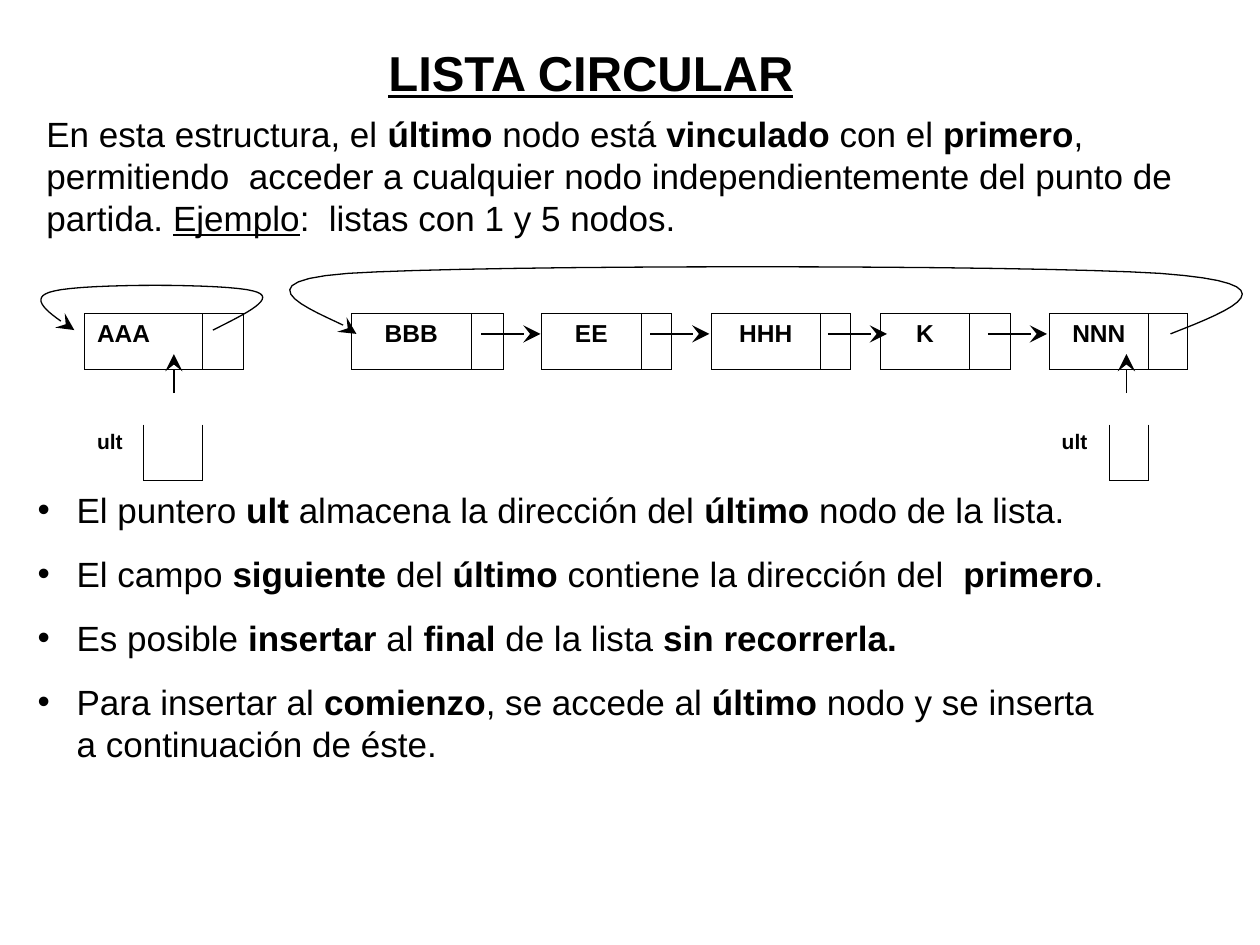
from lxml import etree
from pptx import Presentation
from pptx.dml.color import RGBColor as RGB
from pptx.enum.shapes import MSO_CONNECTOR as LINK
from pptx.enum.text import MSO_ANCHOR as ANCHOR, PP_ALIGN as ALIGN
from pptx.oxml.ns import qn
from pptx.util import Inches, Pt

HUES = {"ink": "000000"}
INK = RGB.from_string(HUES["ink"])
FONT = "Arial"


def write(par, text, size):
    """Fill a paragraph; *word* is bold and *_word* is underlined."""
    for i, part in enumerate(text.split("*")):
        if not part:
            continue
        run = par.add_run()
        run.text = part.lstrip("_")
        font = run.font
        font.name, font.size = FONT, Pt(size)
        font.color.rgb = INK
        font.bold = i % 2 == 1 and part[0] != "_"
        font.underline = part[0] == "_"


def arrow(shape):
    """Style a thin line with a stealth head at its end."""
    shape.line.color.rgb = INK
    shape.line.width = Pt(0.75)
    props = shape._element.spPr
    etree.SubElement(props.find(qn("a:ln")), qn("a:tailEnd"),
                     type="stealth", w="lg", len="lg")
    if props.find(qn("a:effectLst")) is None:
        etree.SubElement(props, qn("a:effectLst"))


prs = Presentation()
prs.slide_width, prs.slide_height = Inches(10), Inches(7.5)
slide = prs.slides.add_slide(prs.slide_layouts[5])
shapes = slide.shapes

# Title
title = shapes.title
title.left, title.top = Inches(2.8), Inches(0.28)
title.width, title.height = Inches(3.78), Inches(0.57)
frame = title.text_frame
frame.vertical_anchor = ANCHOR.TOP
par = frame.paragraphs[0]
par.alignment = ALIGN.CENTER
par.line_spacing = Pt(34)
write(par, "*LISTA CIRCULAR*", 28)
par.runs[0].font.underline = True

# Introduction
box = shapes.add_textbox(Inches(0.27), Inches(0.84), Inches(9.53), Inches(1.1))
box.text_frame.word_wrap = True
par = box.text_frame.paragraphs[0]
par.line_spacing = Pt(24)
write(par, "En esta estructura, el *último* nodo está *vinculado* con el *primero*, "
      "permitiendo  acceder a cualquier nodo independientemente del punto de "
      "partida. *_Ejemplo*:  listas con 1 y 5 nodos.", 20)

# Nodes and pointers
cols = [0.47, 0.47, 0.32, 0.47, 0.39, 0.95, 0.26, 0.3, 0.79, 0.24,
        0.32, 0.86, 0.24, 0.24, 0.71, 0.32, 0.31, 0.48, 0.31, 0.31]
high = 0.44
grid = shapes.add_table(3, len(cols), Inches(0.67), Inches(2.49),
                        Inches(sum(cols)), Inches(3 * high)).table
grid.first_row = grid.horz_banding = False
NO_STYLE = "{2D5ABB26-0587-4C30-8999-92F81FD0307C}"
grid._tbl.tblPr.find(qn("a:tableStyleId")).text = NO_STYLE
for col, wide in zip(grid.columns, cols):
    col.width = Inches(wide)
for row in grid.rows:
    row.height = Inches(high)
for r in (0, 1):
    for c in (0, 17):
        grid.cell(r, c).merge(grid.cell(r, c + 1))

labels = {(0, 0): "AAA", (0, 5): "BBB", (0, 8): "EE", (0, 11): "HHH",
          (0, 14): "K", (0, 17): "NNN", (2, 0): "ult", (2, 17): "ult"}
edges = {(0, c): "LRTB" for c in (0, 2, 5, 6, 8, 9, 11, 12, 14, 15, 17, 19)}
edges.update({(2, c): "LRB" for c in (1, 18)})
for r in range(3):
    for c in range(len(cols)):
        cell = grid.cell(r, c)
        par = cell.text_frame.paragraphs[0]
        label = labels.get((r, c))
        if label:
            write(par, f"*{label}*", 12 if r else 14)
            if r == 0 and c:
                par.alignment = ALIGN.CENTER
        else:
            etree.SubElement(par._p, qn("a:endParaRPr"), sz="1200")
        props = cell._tc.get_or_add_tcPr()
        for side in edges.get((r, c), ""):
            line = etree.SubElement(props, qn(f"a:ln{side}"), w=str(Pt(0.45)))
            fill = etree.SubElement(line, qn("a:solidFill"))
            etree.SubElement(fill, qn("a:srgbClr"), val=HUES["ink"])
        cell.fill.background()

# Loops from the last node back to the first: start, then cubic Bézier triples
loops = [
    [(9.29, 2.65), (9.8, 2.45), (10.3, 2.25), (9.21, 2.17), (8.12, 2.1),
     (3.82, 2.1), (2.76, 2.17), (1.69, 2.25), (2.82, 2.57), (2.83, 2.65)],
    [(1.69, 2.62), (1.95, 2.49), (2.22, 2.36), (2.01, 2.31), (1.8, 2.25),
     (0.67, 2.25), (0.43, 2.31), (0.2, 2.36), (0.39, 2.49), (0.59, 2.62)],
]
STEPS = 16
for loop in loops:
    pts = []
    for i in range(0, len(loop) - 1, 3):
        for n in range(1, STEPS + 1):
            t = n / STEPS
            u = 1 - t
            mix = (u**3, 3 * u * u * t, 3 * u * t * t, t**3)
            pts.append([Inches(sum(m * p[k] for m, p in zip(mix, loop[i:i + 4])))
                        for k in (0, 1)])
    x, y = loop[0]
    pen = shapes.build_freeform(Inches(x), Inches(y))
    pen.add_line_segments(pts, close=False)
    curve = pen.convert_to_shape()
    curve.fill.background()
    curve.shadow.inherit = False
    arrow(curve)

# Straight links and pointer arrows
links = [(x, 2.65, x + 0.47, 2.65) for x in (3.82, 5.16, 6.57, 7.84)]
links += [(x, 3.12, x, 2.81) for x in (1.38, 8.94)]
for ends in links:
    arrow(shapes.add_connector(LINK.STRAIGHT, *map(Inches, ends)))

# Notes on the list
notes = [
    "El puntero *ult* almacena la dirección del *último* nodo de la lista.",
    "El campo *siguiente* del *último* contiene la dirección del  *primero*.",
    "Es posible *insertar* al *final* de la lista *sin recorrerla.*",
    "Para insertar al *comienzo*, se accede al *último* nodo y se inserta "
    "a continuación de éste.",
]
box = shapes.add_textbox(Inches(0.2), Inches(3.83), Inches(8.66), Inches(2.29))
frame = box.text_frame
frame.word_wrap = True
for i, note in enumerate(notes):
    par = frame.add_paragraph() if i else frame.paragraphs[0]
    par.line_spacing = Pt(24)
    if i:
        par.space_before = Pt(12.5)
    props = par._p.get_or_add_pPr()
    props.set("marL", str(Inches(0.31)))
    props.set("indent", str(Inches(-0.31)))
    etree.SubElement(props, qn("a:buFont"), typeface=FONT)
    etree.SubElement(props, qn("a:buChar"), char="•")
    write(par, note, 20)

prs.save("out.pptx")
